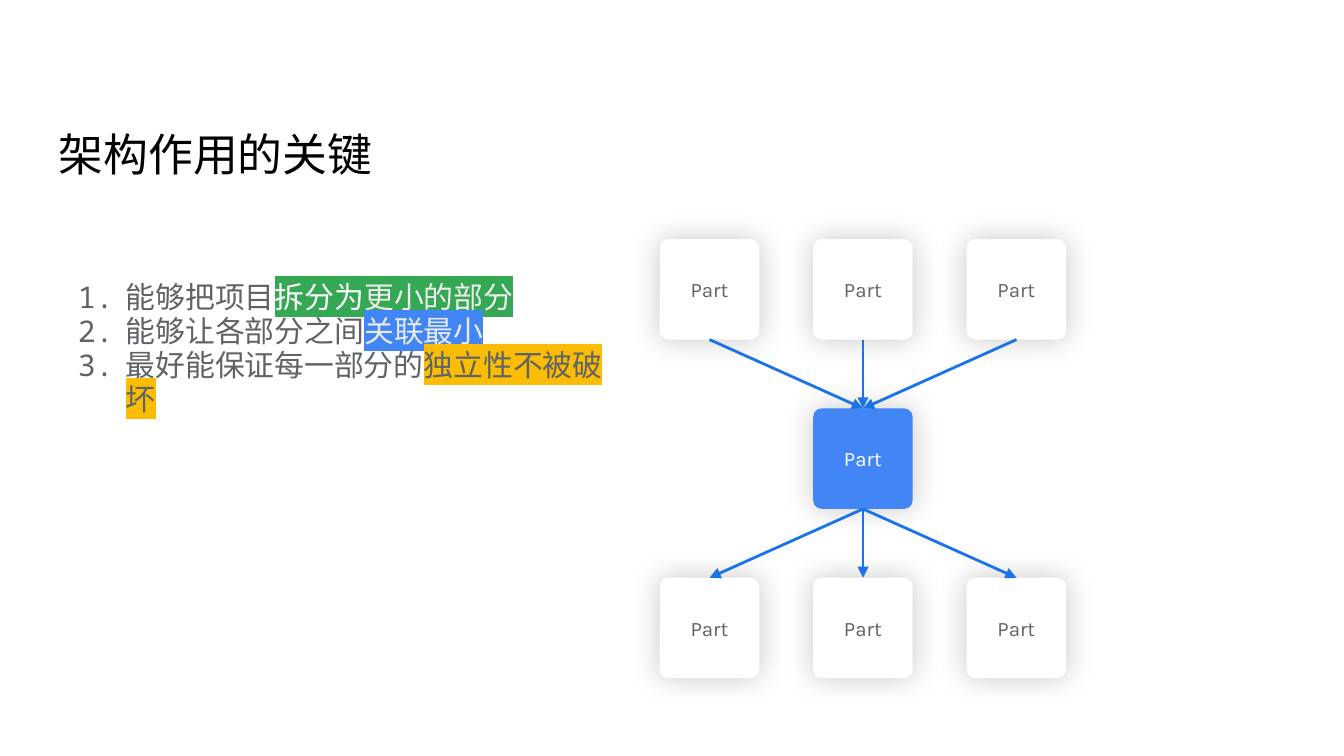
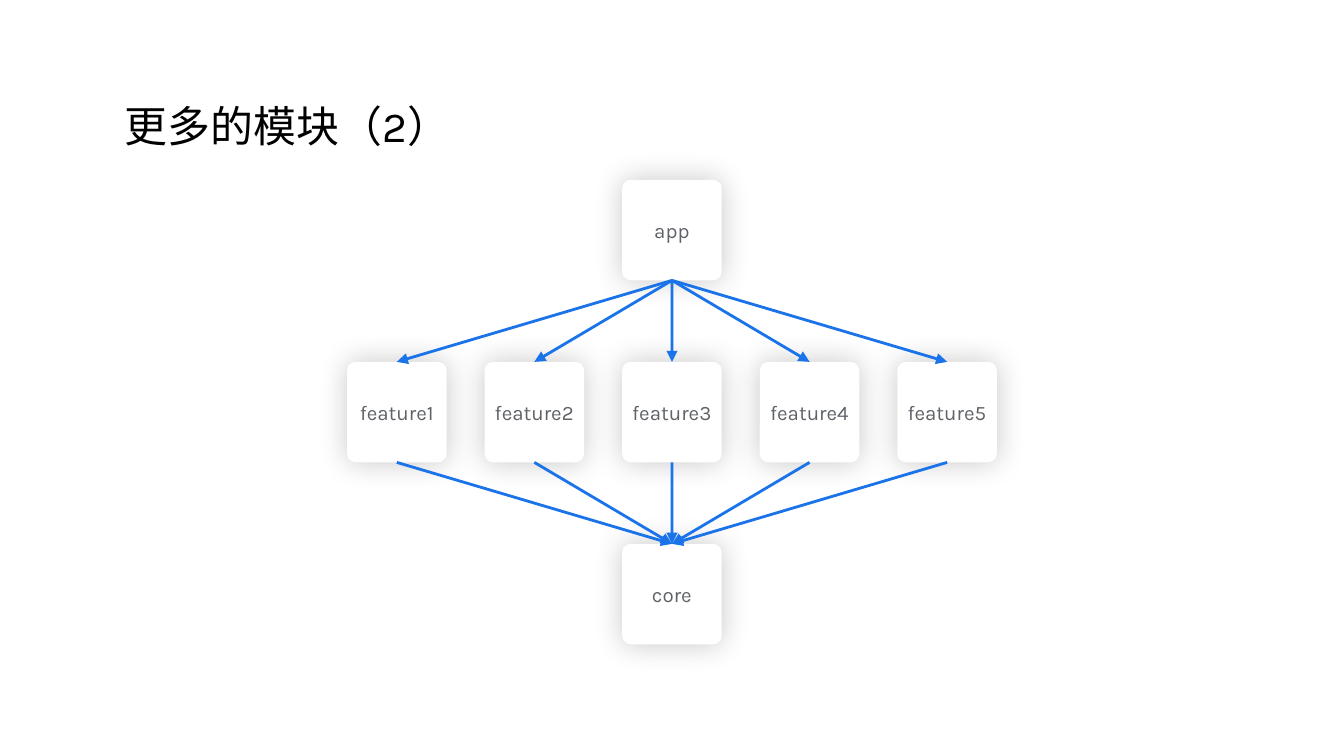
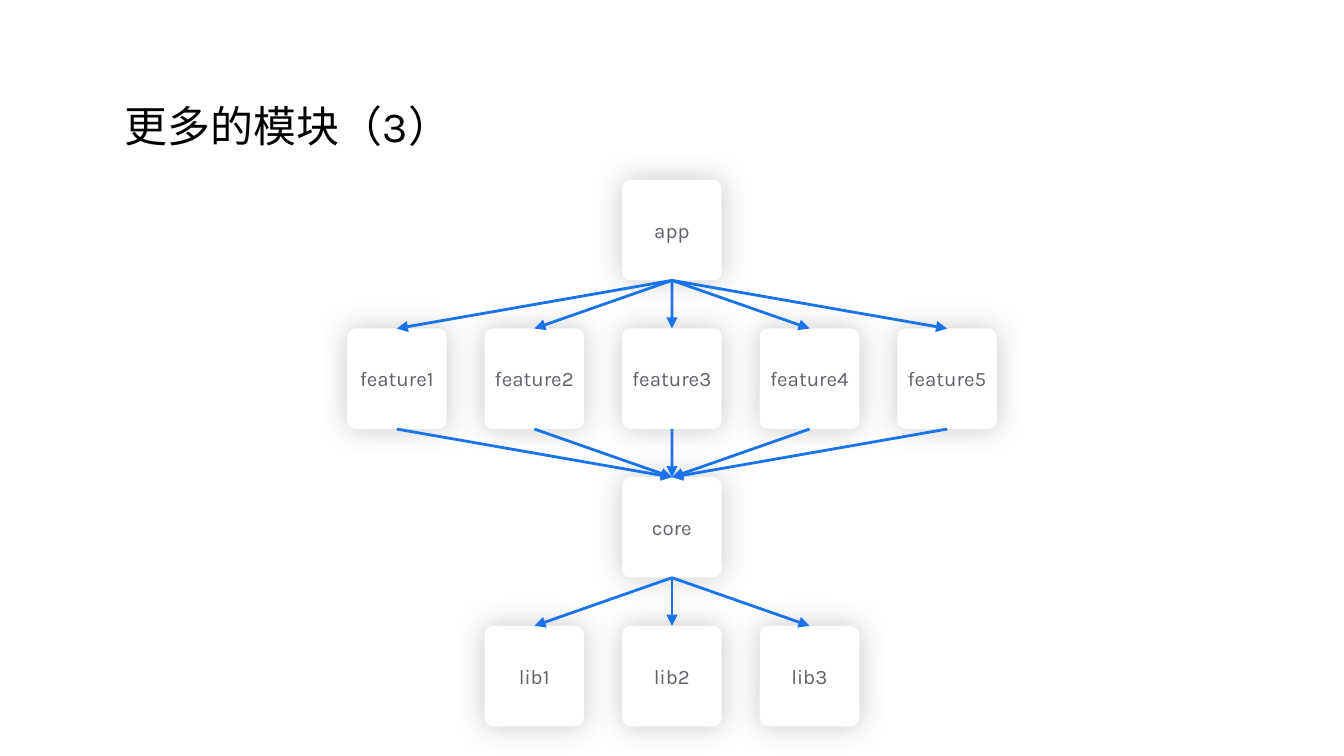
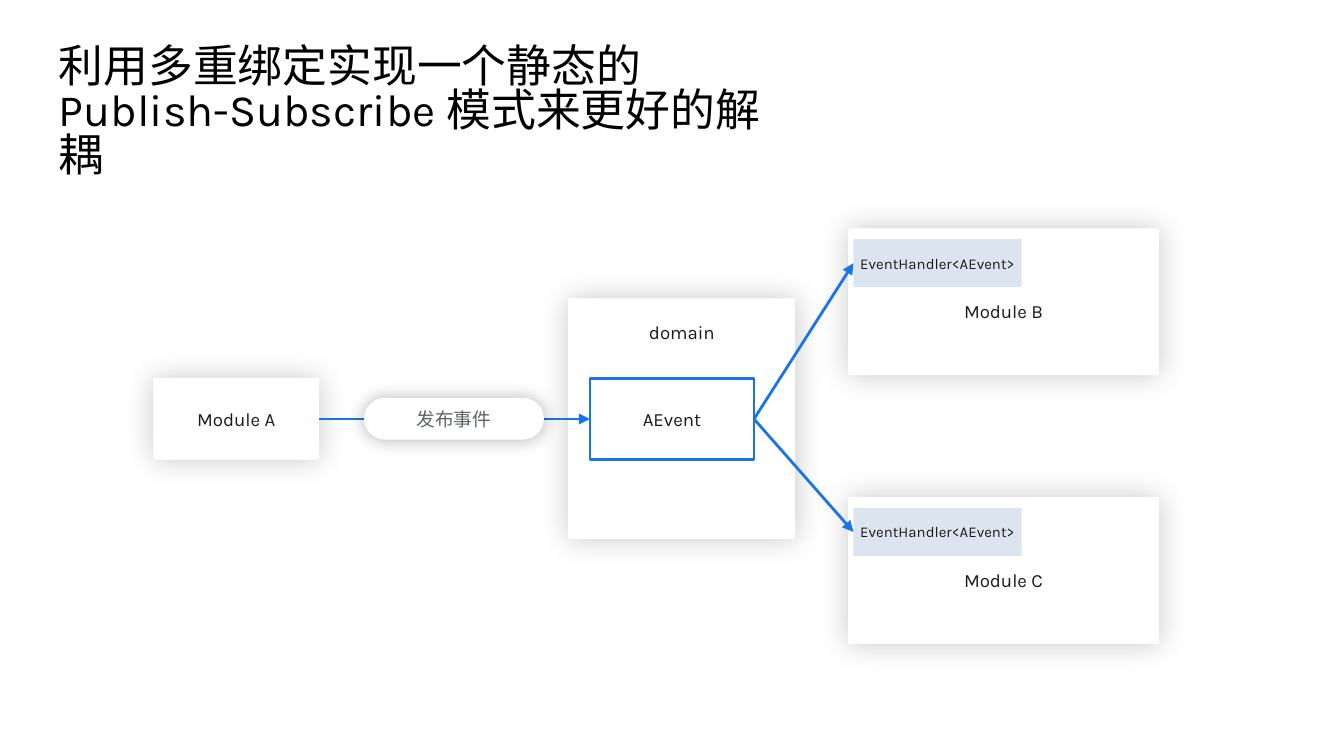
from itertools import pairwise, product

from lxml.etree import SubElement
from pptx import Presentation
from pptx.dml.color import RGBColor
from pptx.enum.shapes import MSO_CONNECTOR, MSO_SHAPE
from pptx.enum.text import MSO_ANCHOR, MSO_AUTO_SIZE, PP_ALIGN
from pptx.oxml.ns import qn
from pptx.util import Cm, Pt

WHITE = RGBColor(0xFF, 0xFF, 0xFF)
BLACK = RGBColor(0x00, 0x00, 0x00)
INK = RGBColor(0x1A, 0x1A, 0x1A)
GRAY = RGBColor(0x5F, 0x63, 0x68)
PALE = RGBColor(0xEE, 0xEE, 0xEE)
SILVER = RGBColor(0xE8, 0xEA, 0xED)
GREEN = RGBColor(0x34, 0xA8, 0x53)
BLUE = RGBColor(0x42, 0x85, 0xF4)
YELLOW = RGBColor(0xFB, 0xBC, 0x04)
ARROW_BLUE = RGBColor(0x1A, 0x73, 0xE8)
HANDLER_BLUE = RGBColor(0xDC, 0xE5, 0xEF)

FONT = "Karla"
LIST_FONT = "Noto Sans Mono"
TITLE_ONLY, TITLE_AND_BODY = 5, 1
TOP, LEFT, BOTTOM, RIGHT = range(4)

BOX_WIDTH, BOX_HEIGHT = 1.88, 1.9
BOX_RADIUS = 0.086
SOFT_SHADOW = (22, 16)
PILL_SHADOW = (30, 10)

KEY_POINTS = [
    [("能够把项目", GRAY, None), ("拆分为", WHITE, GREEN), ("更小的部分", PALE, GREEN)],
    [("能够让各部分之间", GRAY, None), ("关联最小", SILVER, BLUE)],
    [("最好能保证每一部分的", GRAY, None), ("独立性不被破坏", GRAY, YELLOW)],
]
FEATURES = [f"feature{number}" for number in range(1, 6)]
LIBRARIES = [f"lib{number}" for number in range(1, 4)]


def place(shape, left, top, width, height):
    shape.left, shape.top = Cm(left), Cm(top)
    shape.width, shape.height = Cm(width), Cm(height)


def set_margins(frame, margin):
    frame.margin_left = frame.margin_right = Cm(margin)
    frame.margin_top = frame.margin_bottom = Cm(margin)


def format_run(run, size, color, font=FONT, highlight=None):
    run.font.size = Pt(size)
    run.font.color.rgb = color
    properties = run._r.get_or_add_rPr()
    if highlight is not None:
        marker = SubElement(properties, qn("a:highlight"))
        SubElement(marker, qn("a:srgbClr"), val=str(highlight))
    for script in ("a:latin", "a:ea"):
        SubElement(properties, qn(script), typeface=font)


def add_title(slide, text, area, size=24, margin=0.25):
    title = slide.shapes.title
    place(title, *area)
    frame = title.text_frame
    frame.text = text
    frame.auto_size = MSO_AUTO_SIZE.NONE
    frame.word_wrap = True
    frame.vertical_anchor = MSO_ANCHOR.BOTTOM
    set_margins(frame, margin)
    paragraph = frame.paragraphs[0]
    paragraph.alignment = PP_ALIGN.LEFT
    paragraph.line_spacing = 0.83
    format_run(paragraph.runs[0], size, BLACK)


def number_paragraph(paragraph):
    paragraph.line_spacing = 0.95
    paragraph.space_before = Pt(0)
    properties = paragraph._p.get_or_add_pPr()
    properties.set("marL", str(Cm(1.27)))
    properties.set("indent", str(Cm(-0.91)))
    color = SubElement(properties, qn("a:buClr"))
    SubElement(color, qn("a:srgbClr"), val=str(GRAY))
    SubElement(properties, qn("a:buFont"), typeface=LIST_FONT)
    SubElement(properties, qn("a:buAutoNum"), type="arabicPeriod")


def add_numbered_list(slide, points, area):
    body = slide.placeholders[1]
    place(body, *area)
    frame = body.text_frame
    frame.auto_size = MSO_AUTO_SIZE.NONE
    frame.vertical_anchor = MSO_ANCHOR.TOP
    set_margins(frame, 0.25)
    frame.margin_top = Cm(1.45)
    for index, point in enumerate(points):
        paragraph = frame.add_paragraph() if index else frame.paragraphs[0]
        number_paragraph(paragraph)
        for text, color, highlight in point:
            run = paragraph.add_run()
            run.text = text
            format_run(run, 16, color, LIST_FONT, highlight)


def add_shadow(shape, opacity, blur):
    effects = shape._element.spPr.find(qn("a:effectLst"))
    shadow = SubElement(effects, qn("a:outerShdw"), blurRad=str(Pt(blur)),
                        dist="0", dir="0", algn="ctr", rotWithShape="0")
    color = SubElement(shadow, qn("a:srgbClr"), val=str(BLACK))
    SubElement(color, qn("a:alpha"), val=str(opacity * 1000))


def add_box(slide, text, area, size=10, color=INK, fill=WHITE, radius=0,
            shadow=SOFT_SHADOW, outline=None, anchor=MSO_ANCHOR.MIDDLE, text_drop=0):
    box = slide.shapes.add_shape(MSO_SHAPE.ROUNDED_RECTANGLE, *map(Cm, area))
    box.adjustments[0] = radius
    box.fill.solid()
    box.fill.fore_color.rgb = fill
    box.shadow.inherit = False
    if shadow:
        add_shadow(box, *shadow)
    if outline is None:
        box.line.fill.background()
    else:
        box.line.color.rgb = outline
        box.line.width = Pt(1.5)
    frame = box.text_frame
    frame.text = text
    frame.word_wrap = False
    frame.vertical_anchor = anchor
    set_margins(frame, 0)
    frame.margin_top = Cm(text_drop)
    paragraph = frame.paragraphs[0]
    paragraph.alignment = PP_ALIGN.CENTER
    format_run(paragraph.runs[0], size, color)
    return box


def add_arrow(slide, source, source_side, target, target_side):
    arrow = slide.shapes.add_connector(MSO_CONNECTOR.STRAIGHT, 0, 0, 0, 0)
    arrow.begin_connect(source, source_side)
    arrow.end_connect(target, target_side)
    arrow.line.color.rgb = ARROW_BLUE
    arrow.line.width = Pt(1.5)
    SubElement(arrow.line._get_or_add_ln(), qn("a:tailEnd"), type="triangle")
    SubElement(arrow._element.spPr, qn("a:effectLst"))


def add_layer(slide, labels, center, top, pitch, **style):
    first_left = center - (len(labels) - 1) * pitch / 2 - BOX_WIDTH / 2
    return [
        add_box(slide, label, (first_left + column * pitch, top, BOX_WIDTH, BOX_HEIGHT),
                size=11, radius=BOX_RADIUS, **style)
        for column, label in enumerate(labels)
    ]


def add_layers(slide, layers, center, top, column_pitch, row_pitch, accent_row=None):
    rows = []
    for index, labels in enumerate(layers):
        accented = index == accent_row
        rows.append(add_layer(slide, labels, center, top + index * row_pitch, column_pitch,
                              color=WHITE if accented else GRAY,
                              fill=BLUE if accented else WHITE))
    for upper_row, lower_row in pairwise(rows):
        for upper, lower in product(upper_row, lower_row):
            add_arrow(slide, upper, BOTTOM, lower, TOP)


def new_slide(deck, layout):
    return deck.slides.add_slide(deck.slide_layouts[layout])


def build_architecture_keys(deck):
    slide = new_slide(deck, TITLE_AND_BODY)
    add_title(slide, "架构作用的关键", (0.86, 1.55, 11.6, 2.11))
    add_numbered_list(slide, KEY_POINTS, (0.86, 3.86, 10.95, 8.84))
    parts = ["Part"] * 3
    add_layers(slide, [parts, ["Part"], parts], 16.31, 4.52, 2.9, 3.2, accent_row=1)


def build_modules(deck, title, layers, row_pitch):
    slide = new_slide(deck, TITLE_ONLY)
    add_title(slide, title, (2.36, 1.83, 16.59, 1.02), size=23, margin=0)
    add_layers(slide, layers, 12.7, 3.4, 2.6, row_pitch)


def add_subscriber(slide, name, top):
    left = 16.03
    add_box(slide, name, (left, top, 5.87, 2.77), text_drop=0.36)
    return add_box(slide, "EventHandler<AEvent>", (left + 0.1, top + 0.2, 3.18, 0.91),
                   size=8, fill=HANDLER_BLUE, shadow=None)


def build_publish_subscribe(deck):
    slide = new_slide(deck, TITLE_ONLY)
    add_title(slide, "利用多重绑定实现一个静态的 Publish-Subscribe 模式来更好的解耦",
              (0.86, 1.55, 14.38, 2.11))
    add_box(slide, "domain", (10.74, 5.64, 4.29, 4.55), anchor=MSO_ANCHOR.TOP, text_drop=0.43)
    event = add_box(slide, "AEvent", (11.15, 7.16, 3.1, 1.52), shadow=None, outline=ARROW_BLUE)
    publisher = add_box(slide, "Module A", (2.9, 7.15, 3.13, 1.54))
    add_arrow(slide, publisher, RIGHT, event, LEFT)
    add_box(slide, "发布事件", (6.88, 7.52, 3.4, 0.79), color=GRAY, radius=0.5,
            shadow=PILL_SHADOW)
    for name, top in (("Module B", 4.32), ("Module C", 9.4)):
        handler = add_subscriber(slide, name, top)
        add_arrow(slide, event, RIGHT, handler, LEFT)


def main():
    deck = Presentation()
    deck.slide_width, deck.slide_height = Cm(25.4), Cm(14.29)
    build_architecture_keys(deck)
    build_modules(deck, "更多的模块（2）", [["app"], FEATURES, ["core"]], 3.44)
    build_modules(deck, "更多的模块（3）", [["app"], FEATURES, ["core"], LIBRARIES], 2.81)
    build_publish_subscribe(deck)
    deck.save("out.pptx")


if __name__ == "__main__":
    main()
